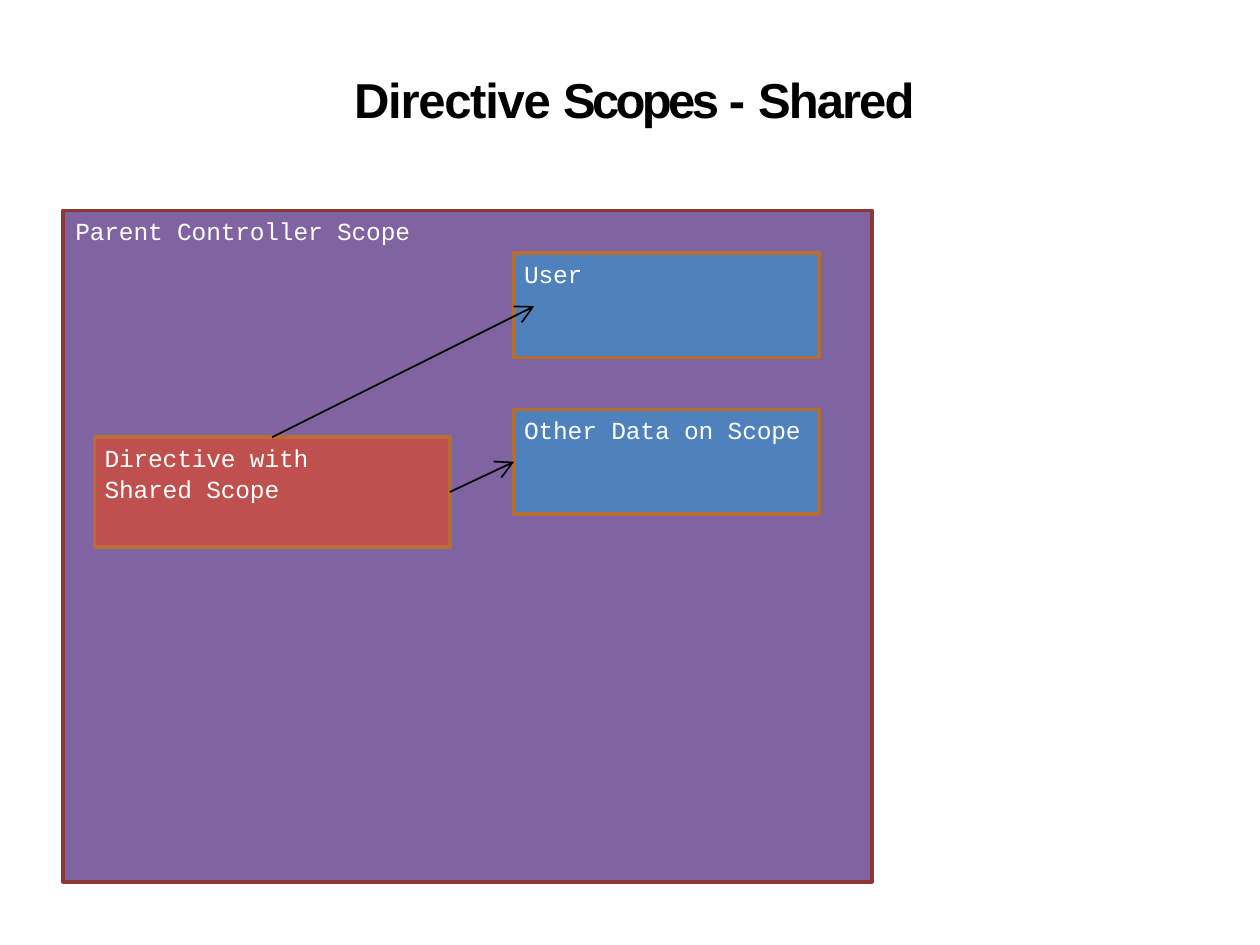
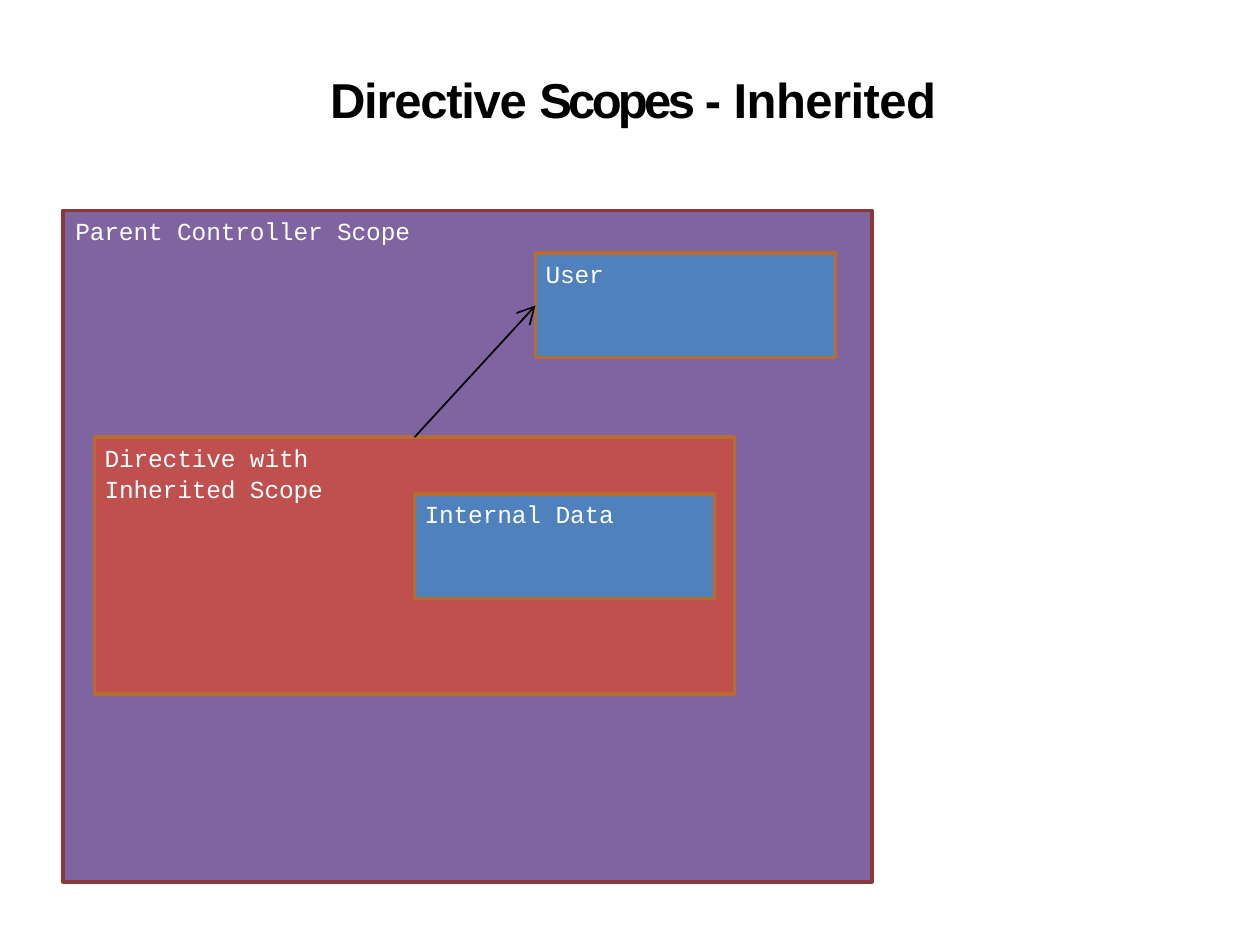
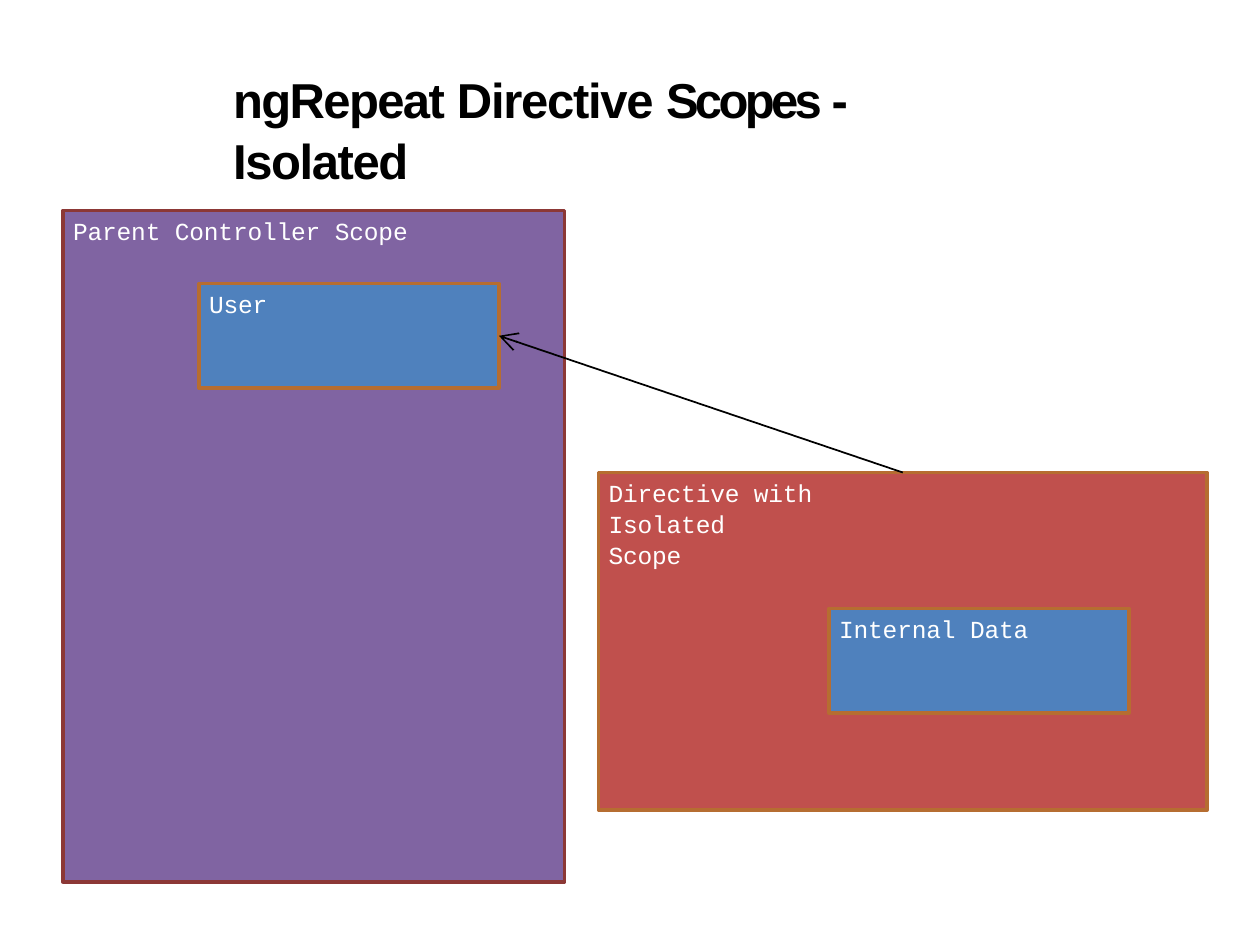
from lxml.etree import SubElement
from pptx import Presentation
from pptx.dml.color import RGBColor
from pptx.enum.shapes import MSO_CONNECTOR, MSO_SHAPE
from pptx.enum.text import MSO_ANCHOR, PP_ALIGN
from pptx.oxml.ns import qn
from pptx.util import Inches, Pt

# Shared colours
BLACK = RGBColor(0x00, 0x00, 0x00)
WHITE = RGBColor(0xFF, 0xFF, 0xFF)
PURPLE = RGBColor(0x80, 0x64, 0xA2)
RED = RGBColor(0xC0, 0x50, 0x4D)
BLUE = RGBColor(0x4F, 0x81, 0xBD)
MAROON = RGBColor(0x8C, 0x38, 0x36)
ORANGE = RGBColor(0xB6, 0x6D, 0x31)

# Shared formats
TITLE_FONT = {"name": "Arial", "size": Pt(28), "bold": True}
LABEL_FONT = {"name": "Courier New", "size": Pt(14)}
FRAME = {"margin_right": 0, "margin_bottom": 0, "word_wrap": True,
         "vertical_anchor": MSO_ANCHOR.TOP}

# Sides of a rectangle
TOP, LEFT, RIGHT = 0, 1, 3
BOX_H = 0.83


def set_attrs(obj, values):
    for name, value in values.items():
        setattr(obj, name, value)


def add_run(p, text, font, color, spacing):
    r = p.add_run()
    r.text = text
    set_attrs(r.font, font)
    r.font.color.rgb = color
    r.font._element.set("spc", str(round(spacing * 100)))


def add_title(s, indent, parts):
    """Title made of (text, letter spacing in points) parts."""
    sp = s.shapes.add_textbox(Inches(1.84), Inches(0.5), Inches(6.31), Inches(0.48))
    tf = sp.text_frame
    set_attrs(tf, FRAME | {"margin_left": Inches(indent), "margin_top": Inches(0.04)})
    p = tf.paragraphs[0]
    p.line_spacing = 1.03
    for text, spacing in parts:
        add_run(p, text, TITLE_FONT, BLACK, spacing)


def add_box(s, left, top, width, height, fill, lines, border=ORANGE, inset=0.08):
    """Rectangle labelled at its top left corner."""
    sp = s.shapes.add_shape(MSO_SHAPE.RECTANGLE, Inches(left), Inches(top),
                            Inches(width), Inches(height))
    sp.shadow.inherit = False
    sp.fill.solid()
    sp.fill.fore_color.rgb = fill
    sp.line.color.rgb = border
    sp.line.width = Pt(2.04)
    tf = sp.text_frame
    set_attrs(tf, FRAME | {"margin_left": Inches(inset), "margin_top": Inches(0.03)})
    p = tf.paragraphs[0]
    set_attrs(p, {"alignment": PP_ALIGN.LEFT, "line_spacing": 1.06})
    for i, line in enumerate(lines):
        if i:
            p.add_line_break()
        add_run(p, line, LABEL_FONT, WHITE, -0.1)
    return sp


def add_parent(s, width=6.42, inset=0.1):
    return add_box(s, 0.5, 1.67, width, 5.33, PURPLE,
                   ["Parent Controller Scope"], MAROON, inset)


def add_data(s, left, top, label, width=2.38):
    return add_box(s, left, top, width, BOX_H, BLUE, [label])


def add_arrow(s, source, source_side, target=None, target_side=None, end=(0, 0)):
    """Arrow from a box side to another box side, or to a free end point."""
    x, y = (Inches(v) for v in end)
    cn = s.shapes.add_connector(MSO_CONNECTOR.STRAIGHT, x, y, x, y)
    cn.begin_connect(source, source_side)
    if target is not None:
        cn.end_connect(target, target_side)
    cn.line.color.rgb = BLACK
    cn.line.width = Pt(1)
    SubElement(cn.line._get_or_add_ln(), qn("a:tailEnd"), type="arrow", w="lg", len="lg")
    SubElement(cn._element.spPr, qn("a:effectLst"))


def shared_slide(s):
    add_title(s, 0.97, [("Directive ", -0.7), ("Scopes ", -2.1),
                        ("- ", -0.3), ("Shared", -1.1)])
    add_parent(s)
    directive = add_box(s, 0.75, 3.47, 2.82, 0.87, RED,
                        ["Directive with", "Shared Scope"])
    add_data(s, 4.08, 2.01, "User", 2.42)
    other = add_data(s, 4.08, 3.25, "Other Data on Scope", 2.42)
    add_arrow(s, directive, TOP, end=(4.24, 2.43))
    add_arrow(s, directive, RIGHT, other, LEFT)


def inherited_slide(s):
    add_title(s, 0.78, [("Directive ", -0.7), ("Scopes ", -2.1), ("- Inherited", -0.3)])
    add_parent(s)
    directive = add_box(s, 0.75, 3.47, 5.08, 2.04, RED,
                        ["Directive with", "Inherited Scope"])
    user = add_data(s, 4.25, 2.01, "User")
    add_arrow(s, directive, TOP, user, LEFT)
    add_data(s, 3.29, 3.92, "Internal Data")


def isolated_slide(s):
    add_title(s, 0.01, [("ngRepeat ", -0.9), ("Directive ", -0.7), ("Scopes ", -2.1),
                        ("- ", -0.3), ("Isolated", -0.8)])
    add_parent(s, 3.98, 0.08)
    directive = add_box(s, 4.75, 3.75, 4.83, 2.68, RED,
                        ["Directive with", "Isolated", "Scope"])
    user = add_data(s, 1.58, 2.25, "User")
    add_data(s, 6.58, 4.83, "Internal Data")
    add_arrow(s, directive, TOP, user, RIGHT)


def main():
    prs = Presentation()
    prs.slide_width, prs.slide_height = Inches(10), Inches(7.5)
    for build in (shared_slide, inherited_slide, isolated_slide):
        build(prs.slides.add_slide(prs.slide_layouts[6]))
    prs.save("out.pptx")


if __name__ == "__main__":
    main()
